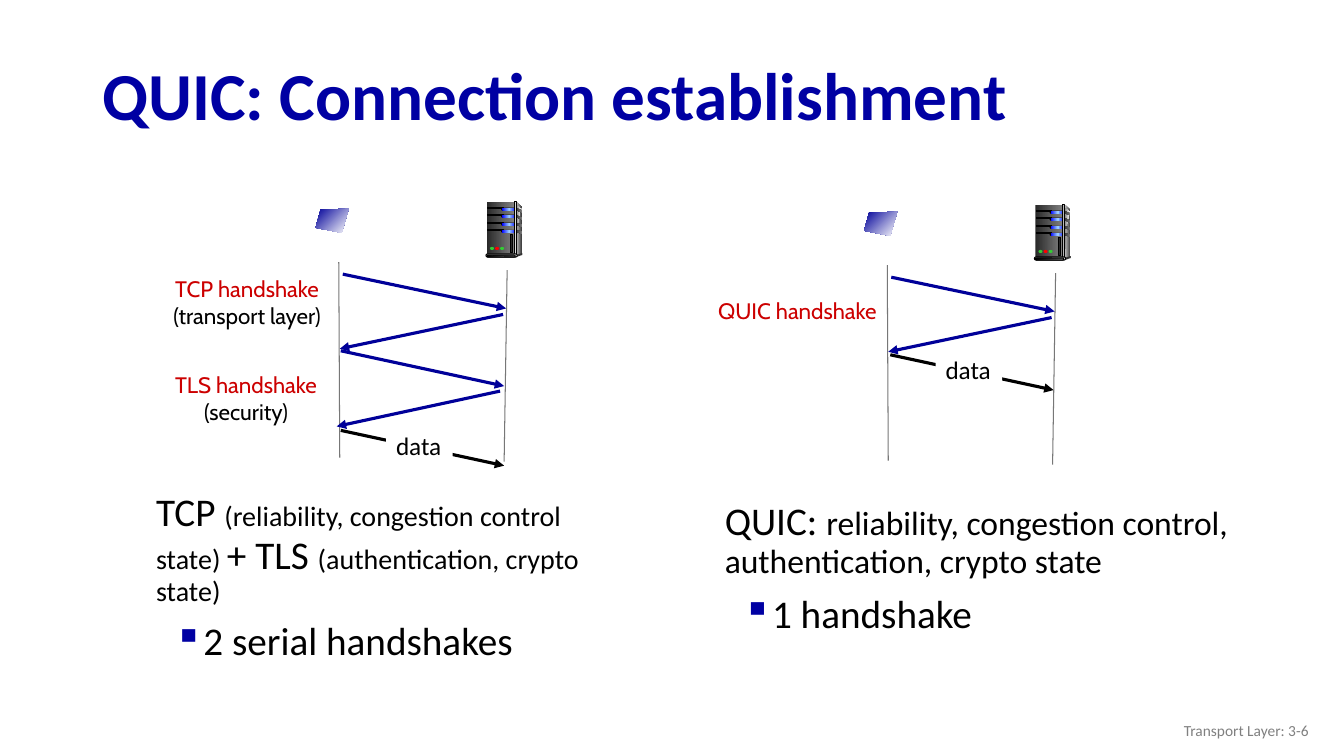
from dataclasses import dataclass

from lxml import etree
from pptx import Presentation, util as u
from pptx.dml.color import RGBColor
from pptx.enum import shapes, text
from pptx.oxml.ns import qn

RECT = shapes.MSO_SHAPE.RECTANGLE
PILL = shapes.MSO_SHAPE.ROUNDED_RECTANGLE
OVAL = shapes.MSO_SHAPE.OVAL


@dataclass(frozen=True)
class Theme:
    body: str = "Calibri"
    label: str = "Cabin"
    title: str = "0000A3"
    arrow: str = "000099"
    red: str = "CC0000"
    black: str = "000000"
    white: str = "FFFFFF"
    grey: str = "808080"
    timeline: str = "777777"
    coal: str = "333333"
    silver: str = "DDDDDD"
    green_led: str = "33CC33"
    red_led: str = "FF0000"
    steel: tuple = ("292929", "808080")
    shine: tuple = ("808080", "F8F8F8")
    glow: tuple = ("0000FF", "99CCFF", "0000FF")
    title_size: int = 48
    large: int = 28
    medium: int = 24
    small: int = 20
    data_size: int = 18
    label_size: int = 16
    footer_size: int = 11


class Slide:
    def __init__(self, page, theme):
        self.theme = theme
        self.page = page
        self.shapes = page.shapes

    def paint(self, shape, fill, outline=None, angle=0):
        """Fill with one colour, or with a tuple of gradient colours."""
        shape.shadow.inherit = False
        if isinstance(fill, str):
            shape.fill.solid()
            shape.fill.fore_color.rgb = RGBColor.from_string(fill)
        else:
            shape.fill.gradient()
            properties = shape._element.spPr
            stops = properties.find(".//" + qn("a:gsLst"))
            for stop in list(stops):
                stops.remove(stop)
            for index, colour in enumerate(fill):
                place = 100000 * index // (len(fill) - 1)
                stop = etree.SubElement(stops, qn("a:gs"), pos=str(place))
                etree.SubElement(stop, qn("a:srgbClr"), val=colour)
            properties.find(".//" + qn("a:lin")).set("ang", str(angle * 60000))
        if outline:
            shape.line.color.rgb = RGBColor.from_string(outline)
            shape.line.width = u.Pt(0.75)
        else:
            shape.line.fill.background()

    def block(self, kind, left, top, width, height, fill, outline=None):
        shape = self.shapes.add_shape(kind, *map(u.Inches, (left, top, width, height)))
        if kind == PILL:
            shape.adjustments[0] = 0.5
        self.paint(shape, fill, outline)
        return shape

    def polygon(self, points, fill, angle=0):
        corners = [(u.Inches(x), u.Inches(y)) for x, y in points]
        builder = self.shapes.build_freeform(*corners[0])
        builder.add_line_segments(corners[1:], close=True)
        self.paint(builder.convert_to_shape(), fill, angle=angle)

    def line(self, start, end, colour, width, arrow=False):
        connector = self.shapes.add_connector(
            shapes.MSO_CONNECTOR.STRAIGHT, *map(u.Inches, (*start, *end)))
        connector.line.color.rgb = RGBColor.from_string(colour)
        connector.line.width = u.Pt(width)
        properties = connector._element.spPr
        if arrow:
            etree.SubElement(properties.find(qn("a:ln")), qn("a:tailEnd"), type="triangle")
        etree.SubElement(properties, qn("a:effectLst"))

    def add_spans(self, para, spans, font):
        for words, size, colour in spans:
            span = para.add_run()
            span.text = words
            span.font.name = font
            span.font.size = u.Pt(size)
            span.font.color.rgb = RGBColor.from_string(colour)

    def textbox(self, left, top, width, height, wrap=True, middle=False):
        box = self.shapes.add_textbox(*map(u.Inches, (left, top, width, height)))
        frame = box.text_frame
        frame.word_wrap = wrap
        if middle:
            frame.vertical_anchor = text.MSO_ANCHOR.MIDDLE
        return frame

    def label(self, left, top, width, height, heading, note=None):
        frame = self.textbox(left, top, width, height, wrap=False)
        para = frame.paragraphs[0]
        para.alignment = text.PP_ALIGN.CENTER
        self.add_spans(para, [(heading, self.theme.label_size, self.theme.red)], self.theme.label)
        if note:
            para = frame.add_paragraph()
            para.alignment = text.PP_ALIGN.CENTER
            self.add_spans(para, [(note, self.theme.label_size, self.theme.black)], self.theme.label)

    def summary(self, left, top, width, height, spans, bullet):
        theme = self.theme
        frame = self.textbox(left, top, width, height)
        para = frame.paragraphs[0]
        para.line_spacing = 0.9
        para._p.get_or_add_pPr().set("marL", str(u.Inches(0.14)))
        self.add_spans(para, [(words, size, theme.black) for words, size in spans], theme.body)
        para = frame.add_paragraph()
        para.line_spacing = 0.9
        para.space_before = u.Pt(10)
        properties = para._p.get_or_add_pPr()
        properties.set("marL", str(u.Inches(0.56)))
        properties.set("indent", str(-u.Inches(0.24)))
        tint = etree.SubElement(properties, qn("a:buClr"))
        etree.SubElement(tint, qn("a:srgbClr"), val=theme.title)
        etree.SubElement(properties, qn("a:buChar"), char="▪")
        self.add_spans(para, [(bullet, theme.large, theme.black)], theme.body)

    def server(self, x, y):
        theme = self.theme
        self.shapes = self.page.shapes.add_group_shape().shapes

        def panel(points, fill):
            self.polygon([(x + dx, y + dy) for dx, dy in points], fill)

        # Case
        panel([(0.3, 0), (0.36, 0.06), (0.36, 0.51), (0.29, 0.53)], (theme.silver, theme.coal))
        self.block(RECT, x + 0.01, y, 0.27, 0.53, theme.steel)
        panel([(0.3, 0.03), (0.35, 0.07), (0.31, 0.25), (0.3, 0.52)], theme.shine)
        # Drive bays with side vents
        for bay, depth in ((0.06, 0.03), (0.13, 0.03), (0.21, 0.02), (0.28, 0.02)):
            self.block(RECT, x + 0.02, y + bay, 0.15, 0.01, theme.black, theme.black)
            self.block(PILL, x + 0.15, y + bay, 0.15, 0.03, theme.black)
            self.block(PILL, x + 0.16, y + bay, 0.14, 0.03, theme.glow)
            panel([(0.29, bay), (0.36, bay + depth), (0.36, bay + depth + 0.02),
                   (0.29, bay + 0.02)], theme.steel)
        # Edge and base
        self.block(RECT, x + 0.28, y, 0.02, 0.54, (theme.coal, theme.silver, theme.coal), theme.black)
        self.block(OVAL, x + 0.35, y + 0.51, 0.01, 0.02, theme.coal)
        panel([(0.3, 0.53), (0.3, 0.55), (0.36, 0.53), (0.36, 0.51)], theme.coal)
        self.block(PILL, x, y + 0.52, 0.31, 0.03, theme.silver, theme.black)
        self.block(PILL, x + 0.01, y + 0.53, 0.28, 0.02, (theme.black, theme.grey), theme.black)
        # Lights and slot
        for index, colour in enumerate((theme.green_led, theme.red_led, theme.green_led)):
            self.block(OVAL, x + 0.04 + 0.05 * index, y + 0.45, 0.04, 0.03, colour)
        self.block(RECT, x + 0.24, y + 0.33, 0.02, 0.18, theme.steel[0], theme.black)
        self.shapes = self.page.shapes

    def exchange(self, x, y, messages, data_start):
        """Client and server timelines; x, y is the top of the client's."""
        theme = self.theme
        self.line((x, y), (x + 0.01, y + 1.94), theme.timeline, 0.75)
        self.line((x + 1.67, y + 0.08), (x + 1.64, y + 1.98), theme.timeline, 0.75)
        screen = [(0.1, -0.53), (-0.18, -0.52), (-0.23, -0.34), (0.03, -0.29)]
        self.polygon([(x + dx, y + dy) for dx, dy in screen], (theme.arrow, theme.white), 45)
        self.server(x + 1.46, y - 0.6)
        for x1, y1, x2, y2 in messages:
            self.line((x + x1, y + y1), (x + x2, y + y2), theme.arrow, 2.25, arrow=True)
        dx, dy = data_start
        self.line((x + dx, y + dy), (x + dx + 1.62, y + dy + 0.35), theme.black, 2.25, arrow=True)
        box = self.block(RECT, x + dx + 0.45, y + dy - 0.05, 0.66, 0.4, theme.white)
        frame = box.text_frame
        frame.word_wrap = False
        frame.vertical_anchor = text.MSO_ANCHOR.TOP
        frame.paragraphs[0].alignment = text.PP_ALIGN.LEFT
        self.add_spans(frame.paragraphs[0], [("data", theme.data_size, theme.black)], theme.body)


def main():
    deck = Presentation()
    deck.slide_width, deck.slide_height = u.Inches(13.33), u.Inches(7.5)
    theme = Theme()
    slide = Slide(deck.slides.add_slide(deck.slide_layouts[6]), theme)

    # Title
    para = slide.textbox(0.92, 0.49, 11.5, 0.98, middle=True).paragraphs[0]
    para.line_spacing = 0.9
    slide.add_spans(para, [("QUIC: Connection establishment", theme.title_size, theme.title)], theme.body)
    para.runs[0].font.bold = True

    # Two handshakes against one
    handshake = [(0.04, 0.12, 1.66, 0.46), (1.63, 0.52, 0.01, 0.86)]
    security = [(0.02, 0.88, 1.64, 1.23), (1.6, 1.28, -0.02, 1.63)]
    slide.exchange(3.36, 2.6, handshake + security, (0.02, 1.67))
    slide.label(1.54, 2.68, 1.82, 0.64, "TCP handshake", "(transport layer)")
    slide.label(1.59, 3.63, 1.7, 0.64, "TLS handshake", "(security)")
    slide.exchange(8.8, 2.63, handshake, (0.03, 0.89))
    slide.label(6.98, 2.9, 1.86, 0.37, "QUIC handshake")

    # Summaries
    slide.summary(1.31, 4.84, 4.87, 2.29, [
        ("TCP ", theme.large), ("(reliability, congestion control state) ", theme.small),
        ("+ TLS ", theme.large), ("(authentication, crypto state)", theme.small),
    ], "2 serial handshakes")
    slide.summary(6.95, 4.93, 5.56, 2.29, [
        ("QUIC: ", theme.large),
        ("reliability, congestion control, authentication, crypto state", theme.medium),
    ], "1 handshake")

    # Footer
    para = slide.textbox(10.08, 7.05, 3, 0.4, middle=True).paragraphs[0]
    para.alignment = text.PP_ALIGN.RIGHT
    slide.add_spans(para, [("Transport Layer: 3-6", theme.footer_size, theme.grey)], theme.body)

    deck.save("out.pptx")


if __name__ == "__main__":
    main()
